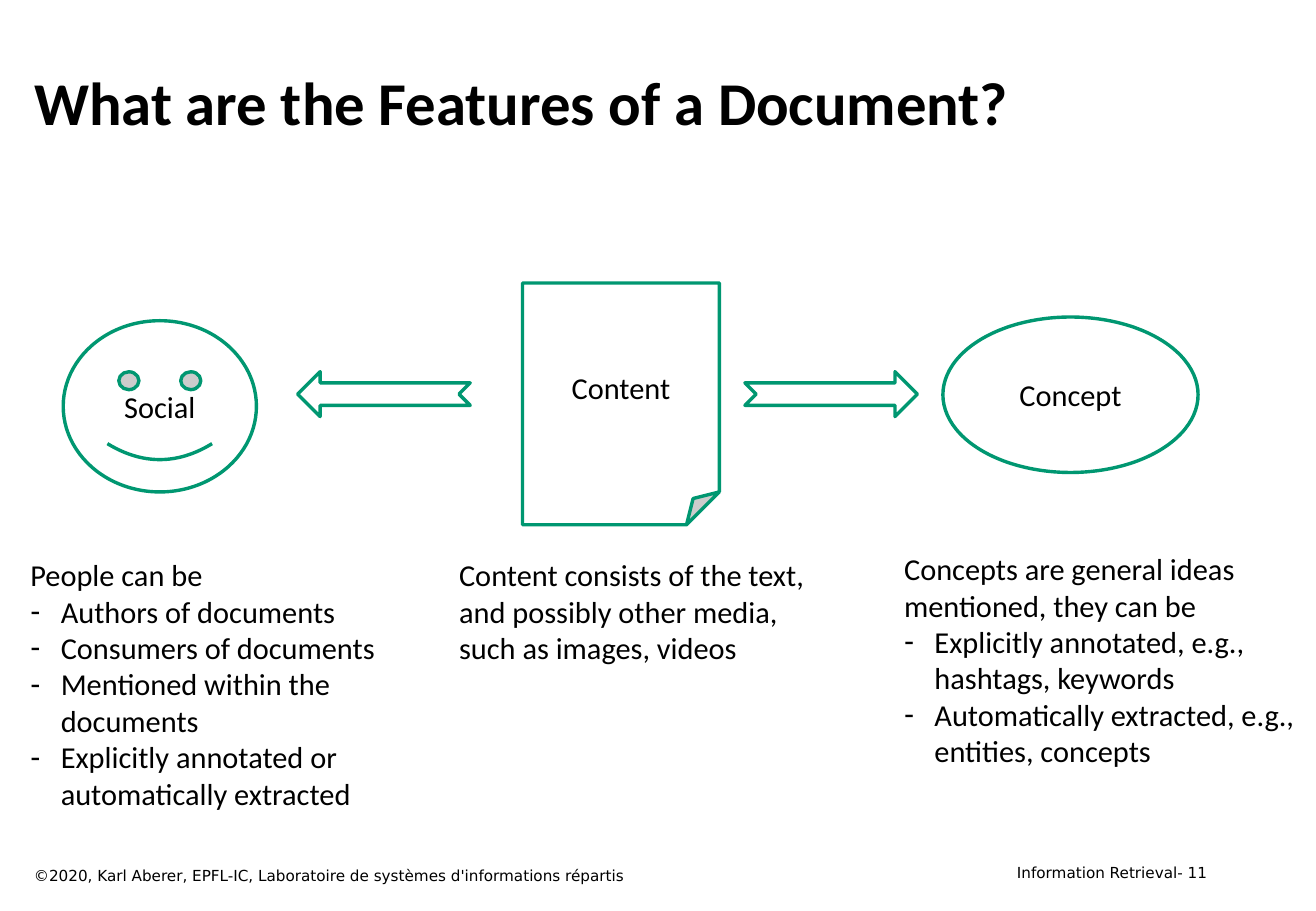
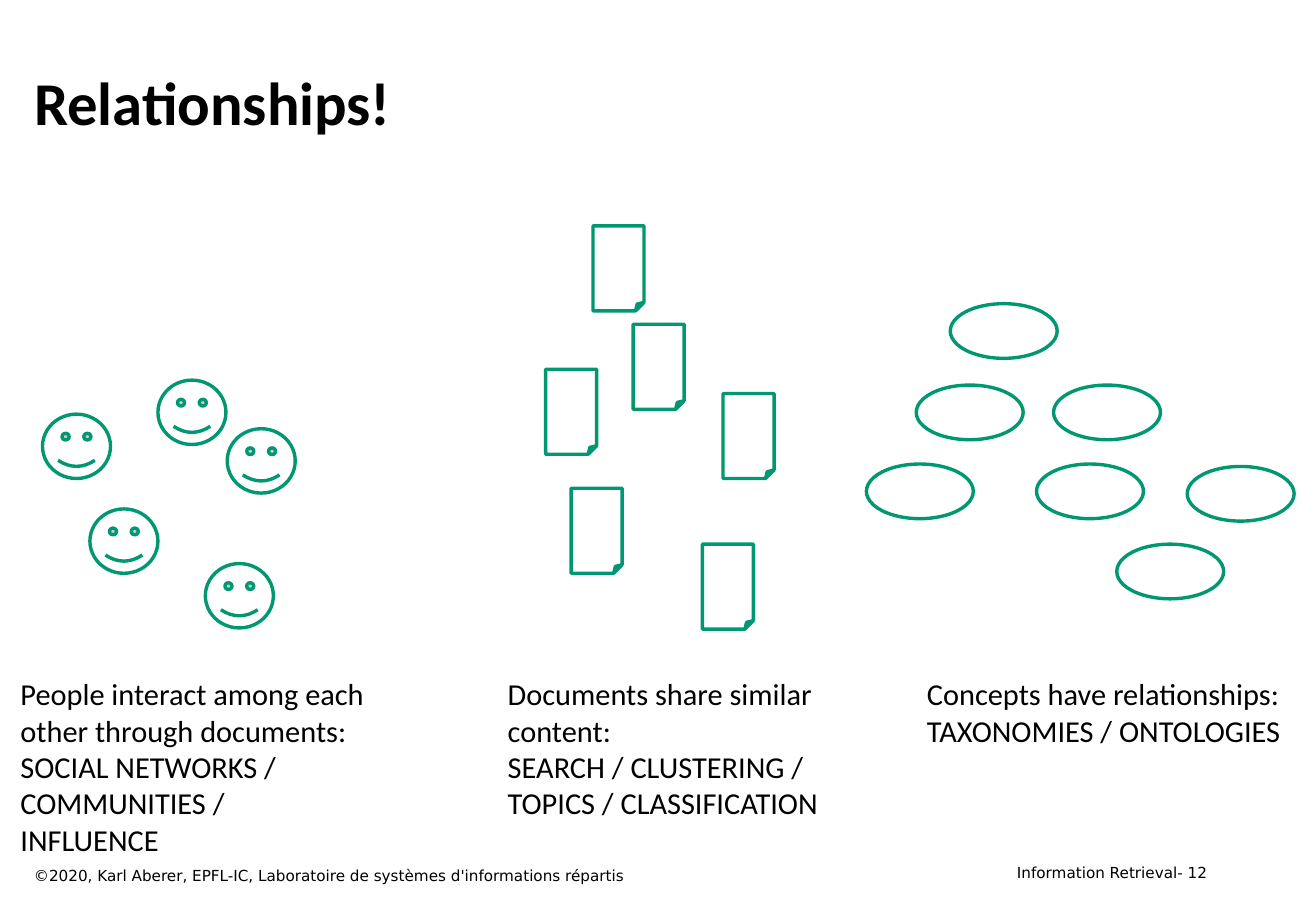
from dataclasses import dataclass
from typing import Optional

from lxml.etree import SubElement
from pptx import Presentation
from pptx.dml.color import RGBColor
from pptx.enum.shapes import MSO_SHAPE as Preset
from pptx.enum.text import MSO_ANCHOR as Anchor, MSO_AUTO_SIZE as AutoSize, PP_ALIGN as Align
from pptx.oxml.ns import qn
from pptx.util import Inches, Pt

BLACK = RGBColor(0x00, 0x00, 0x00)
WHITE = RGBColor(0xFF, 0xFF, 0xFF)
GREEN = RGBColor(0x00, 0x97, 0x71)
BODY_FONT = "Calibri"
FOOTER_FONT = "DejaVu Sans"
COPYRIGHT = "©2020, Karl Aberer, EPFL-IC, Laboratoire de systèmes d'informations répartis"
TITLE_ONLY, TWO_CONTENT = 5, 3
INDENT = Inches(0.25)


@dataclass(frozen=True)
class Box:
    left: float
    top: float
    width: float
    height: float

    def inches(self) -> tuple:
        return tuple(Inches(v) for v in (self.left, self.top, self.width, self.height))


@dataclass(frozen=True)
class Caption:
    box: Box
    intro: tuple[str, ...]
    bullets: tuple[str, ...] = ()
    wrap: bool = True


@dataclass(frozen=True)
class Figure:
    preset: Preset
    box: Box
    label: str = ""
    flipped: bool = False


@dataclass(frozen=True)
class Cluster:
    """Equal shapes scattered over a slide."""
    preset: Preset
    width: float
    height: float
    corners: tuple[tuple[float, float], ...]


FIGURES = (
    Figure(Preset.FOLDED_CORNER, Box(4.3, 2.33, 1.62, 1.99), "Content"),
    Figure(Preset.OVAL, Box(7.76, 2.61, 2.1, 1.28), "Concept"),
    Figure(Preset.SMILEY_FACE, Box(0.52, 2.64, 1.59, 1.41), "Social"),
    Figure(Preset.NOTCHED_RIGHT_ARROW, Box(6.13, 3.06, 1.42, 0.37)),
    Figure(Preset.NOTCHED_RIGHT_ARROW, Box(2.45, 3.06, 1.42, 0.37), flipped=True),
)
FEATURE_LISTS = (
    Caption(Box(0.15, 4.53, 3.53, 2.22), ("People can be",),
            ("Authors of documents", "Consumers of documents",
             "Mentioned within the documents",
             "Explicitly annotated or automatically extracted")),
    Caption(Box(7.34, 4.48, 3.45, 1.92),
            ("Concepts are general ideas\nmentioned, they can be",),
            ("Explicitly annotated, e.g.,\nhashtags, keywords",
             "Automatically extracted, e.g.,\nentities, concepts"), wrap=False),
)
CONTENT_CAPTION = Caption(
    Box(3.68, 4.53, 3.07, 1.01),
    ("Content consists of the text,\nand possibly other media, such as images, videos",))

CLUSTERS = (
    Cluster(Preset.SMILEY_FACE, 0.56, 0.53,
            ((0.74, 4.19), (0.35, 3.41), (1.69, 4.64), (1.87, 3.53), (1.3, 3.13))),
    Cluster(Preset.FOLDED_CORNER, 0.42, 0.7,
            ((5.78, 4.48), (4.7, 4.02), (4.88, 1.86), (4.49, 3.04), (5.21, 2.67),
             (5.95, 3.24))),
    Cluster(Preset.OVAL, 0.88, 0.45,
            ((7.82, 2.5), (7.54, 3.17), (8.67, 3.17), (7.13, 3.82), (8.53, 3.82),
             (9.77, 3.84), (9.19, 4.48))),
)
RELATION_CAPTIONS = (
    Caption(Box(0.07, 5.51, 3.62, 1.92),
            ("People interact among each other through documents:",
             "SOCIAL NETWORKS / COMMUNITIES /\nINFLUENCE")),
    Caption(Box(4.08, 5.51, 3.15, 1.62),
            ("Documents share similar content:",
             "SEARCH / CLUSTERING / TOPICS / CLASSIFICATION")),
    Caption(Box(7.53, 5.51, 3.14, 1.01),
            ("Concepts have relationships:", "TAXONOMIES / ONTOLOGIES"), wrap=False),
)


def place(shape, box: Box) -> None:
    shape.left, shape.top, shape.width, shape.height = box.inches()


def style_text(para, size: float, name: str = BODY_FONT, bold: bool = False,
               align: Align = Align.LEFT) -> None:
    para.alignment = align
    for span in para.runs:
        span.font.name, span.font.size, span.font.bold = name, Pt(size), bold
        span.font.color.rgb = BLACK


def set_bullet(para, bulleted: bool) -> None:
    properties = para._p.get_or_add_pPr()
    properties.set("marL", str(INDENT if bulleted else 0))
    properties.set("indent", str(-INDENT if bulleted else 0))
    if bulleted:
        SubElement(properties, qn("a:buFontTx"))
        SubElement(properties, qn("a:buChar")).set("char", "-")
    else:
        SubElement(properties, qn("a:buNone"))


def add_caption(slide, caption: Caption, placeholder: Optional[object] = None) -> None:
    """Fill the given placeholder, or a new text box when there is none."""
    shape = placeholder or slide.shapes.add_textbox(*caption.box.inches())
    place(shape, caption.box)
    frame = shape.text_frame
    frame.word_wrap = caption.wrap
    frame.auto_size = AutoSize.NONE
    for index, text in enumerate(caption.intro + caption.bullets):
        para = frame.add_paragraph() if index else frame.paragraphs[0]
        para.text = text
        set_bullet(para, index >= len(caption.intro))
        para.space_before = Pt(0)
        style_text(para, 18)


def add_figure(slide, figure: Figure) -> None:
    shape = slide.shapes.add_shape(figure.preset, *figure.box.inches())
    shape.shadow.inherit = False
    shape.fill.solid()
    shape.fill.fore_color.rgb = WHITE
    shape.line.color.rgb = GREEN
    shape.line.width = Pt(2)
    if figure.flipped:
        shape._element.spPr.find(qn("a:xfrm")).set("flipH", "1")
    if figure.label:
        frame = shape.text_frame
        frame.text = figure.label
        frame.vertical_anchor = Anchor.MIDDLE
        style_text(frame.paragraphs[0], 18, align=Align.CENTER)


def add_footer(slide, text: str, box: Box, align: Align) -> None:
    frame = slide.shapes.add_textbox(*box.inches()).text_frame
    frame.word_wrap = True
    frame.text = text
    style_text(frame.paragraphs[0], 9, FOOTER_FONT, align=align)


def add_page(deck, layout: int, title: str, number: int):
    slide = deck.slides.add_slide(deck.slide_layouts[layout])
    heading = slide.shapes.title
    place(heading, Box(0.18, 0.33, 9.84, 1))
    frame = heading.text_frame
    frame.text = title
    frame.vertical_anchor = Anchor.MIDDLE
    style_text(frame.paragraphs[0], 36, bold=True)
    add_footer(slide, f"Information Retrieval- {number}", Box(7.77, 7.06, 2.26, 0.25), Align.RIGHT)
    add_footer(slide, COPYRIGHT, Box(0.18, 7.08, 6.95, 0.25), Align.LEFT)
    return slide


def add_features_page(deck) -> None:
    slide = add_page(deck, TWO_CONTENT, "What are the Features of a Document?", 11)
    for figure in FIGURES:
        add_figure(slide, figure)
    for index, caption in enumerate(FEATURE_LISTS, start=1):
        add_caption(slide, caption, slide.placeholders[index])
    add_caption(slide, CONTENT_CAPTION)


def add_relationships_page(deck) -> None:
    slide = add_page(deck, TITLE_ONLY, "Relationships!", 12)
    for cluster in CLUSTERS:
        for left, top in cluster.corners:
            add_figure(slide, Figure(cluster.preset, Box(left, top, cluster.width, cluster.height)))
    for caption in RELATION_CAPTIONS:
        add_caption(slide, caption)


def main() -> None:
    deck = Presentation()
    deck.slide_width, deck.slide_height = Inches(10.83), Inches(7.5)
    add_features_page(deck)
    add_relationships_page(deck)
    deck.save("out.pptx")


if __name__ == "__main__":
    main()
